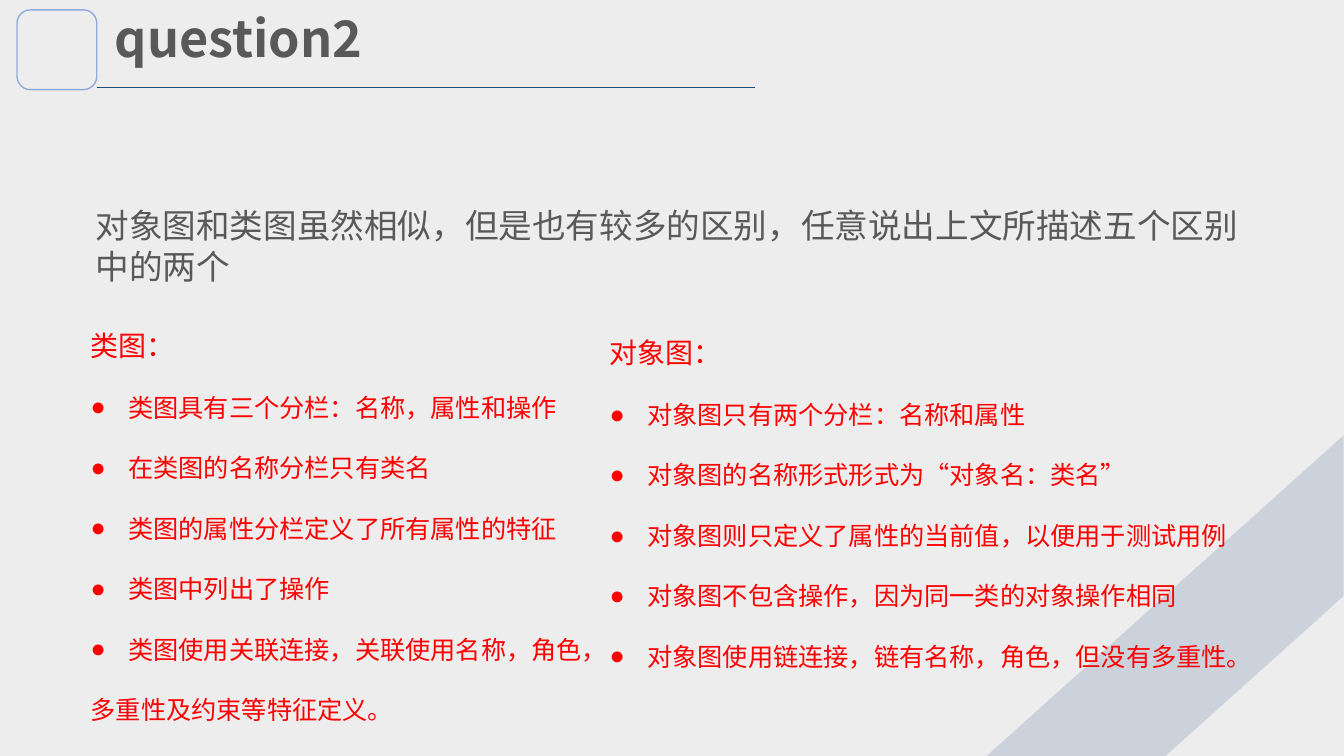
from dataclasses import dataclass

from lxml import etree
from pptx import Presentation
from pptx.dml.color import RGBColor
from pptx.enum import shapes, text
from pptx.oxml.ns import qn
from pptx.util import Cm, Pt

FONT = "Noto Sans CJK SC"
COLORS = {
    "background": "EDEDED",
    "stripe": "ADB9CA",
    "rule": "1F4E79",
    "frame": "8FAADC",
    "body": "595959",
    "answer": "FF0000",
}


@dataclass
class Box:
    left: float
    top: float
    width: float
    height: float

    def lengths(self) -> tuple:
        return Cm(self.left), Cm(self.top), Cm(self.width), Cm(self.height)


@dataclass
class Answer:
    box: Box
    heading: str
    points: list[str]
    closing: str = ""


ANSWERS = [
    Answer(
        Box(2.03, 7.72, 16.97, 10.77),
        "类图：",
        [
            "类图具有三个分栏：名称，属性和操作",
            "在类图的名称分栏只有类名",
            "类图的属性分栏定义了所有属性的特征",
            "类图中列出了操作",
            "类图使用关联连接，关联使用名称，角色，",
        ],
        "多重性及约束等特征定义。",
    ),
    Answer(
        Box(15.11, 7.9, 16.97, 10.39),
        "对象图：",
        [
            "对象图只有两个分栏：名称和属性",
            "对象图的名称形式形式为“对象名：类名”",
            "对象图则只定义了属性的当前值，以便用于测试用例",
            "对象图不包含操作，因为同一类的对象操作相同",
            "对象图使用链连接，链有名称，角色，但没有多重性。",
        ],
    ),
]


def rgb(name: str) -> RGBColor:
    return RGBColor.from_string(COLORS[name])


def place(sp, box: Box) -> None:
    sp.left, sp.top, sp.width, sp.height = box.lengths()


def prepare_frame(tf) -> None:
    tf.word_wrap = True
    tf.auto_size = text.MSO_AUTO_SIZE.NONE
    tf.vertical_anchor = text.MSO_ANCHOR.TOP


def format_paragraph(p, size: int, color: str, bold: bool = False) -> None:
    p.alignment = text.PP_ALIGN.LEFT
    p.space_before = Pt(0)
    for r in p.runs:
        r.font.size = Pt(size)
        r.font.bold = bold
        r.font.name = FONT
        r.font.color.rgb = rgb(color)
        etree.SubElement(r._r.get_or_add_rPr(), qn("a:ea"), typeface=FONT)


def set_bullet(p, char: str = "") -> None:
    indent = Cm(0.95) if char else 0
    pPr = p._p.get_or_add_pPr()
    pPr.set("marL", str(indent))
    pPr.set("indent", str(-indent))
    if char:
        etree.SubElement(pPr, qn("a:buChar"), char=char)
    else:
        etree.SubElement(pPr, qn("a:buNone"))


def fill_answer(sp, answer: Answer) -> None:
    place(sp, answer.box)
    tf = sp.text_frame
    lines = [answer.heading, *answer.points]
    if answer.closing:
        lines.append(answer.closing)
    tf.text = "\n".join(lines)
    prepare_frame(tf)
    for line, p in zip(lines, tf.paragraphs):
        is_heading = line == answer.heading
        format_paragraph(p, 20 if is_heading else 18, "answer")
        p.line_spacing = 1.5 if is_heading else 2.0
        set_bullet(p, "●" if line in answer.points else "")


def add_stripe(slide) -> None:
    box = Box(24.84, 10.97, 9.02, 8.1)
    sp = slide.shapes.add_shape(shapes.MSO_SHAPE.DIAGONAL_STRIPE, *box.lengths())
    sp.rotation = 180
    sp.shadow.inherit = False
    sp.fill.solid()
    sp.fill.fore_color.rgb = rgb("stripe")
    sp.line.fill.background()
    color = sp._element.spPr.find(f"{qn('a:solidFill')}/{qn('a:srgbClr')}")
    etree.SubElement(color, qn("a:alpha"), val="50000")
    slide.shapes._spTree.insert(2, sp._element)


def add_header(slide) -> None:
    title = slide.shapes.title
    place(title, Box(2.64, 0.05, 11.86, 1.8))
    title.text_frame.text = "question2"
    prepare_frame(title.text_frame)
    format_paragraph(title.text_frame.paragraphs[0], 36, "body", bold=True)

    frame = slide.shapes.add_shape(
        shapes.MSO_SHAPE.ROUNDED_RECTANGLE, *Box(0.43, 0.25, 2.01, 2.01).lengths()
    )
    frame.shadow.inherit = False
    frame.fill.background()
    frame.line.color.rgb = rgb("frame")
    frame.line.width = Pt(1)

    rule = slide.shapes.add_connector(
        shapes.MSO_CONNECTOR.STRAIGHT, Cm(2.44), Cm(2.21), Cm(19.02), Cm(2.21)
    )
    rule.line.color.rgb = rgb("rule")
    rule.line.width = Pt(1)
    etree.SubElement(rule._element.spPr, qn("a:effectLst"))


def add_question(slide) -> None:
    sp = slide.shapes.add_textbox(*Box(2.16, 5.05, 29.95, 2.31).lengths())
    tf = sp.text_frame
    tf.text = "对象图和类图虽然相似，但是也有较多的区别，任意说出上文所描述五个区别中的两个"
    prepare_frame(tf)
    format_paragraph(tf.paragraphs[0], 24, "body")


def main() -> None:
    prs = Presentation()
    prs.slide_width, prs.slide_height = Cm(33.87), Cm(19.05)
    slide = prs.slides.add_slide(prs.slide_layouts.get_by_name("Two Content"))
    slide.background.fill.solid()
    slide.background.fill.fore_color.rgb = rgb("background")
    add_stripe(slide)
    add_header(slide)
    add_question(slide)
    for number, answer in enumerate(ANSWERS, start=1):
        fill_answer(slide.placeholders[number], answer)
    prs.save("out.pptx")


if __name__ == "__main__":
    main()
